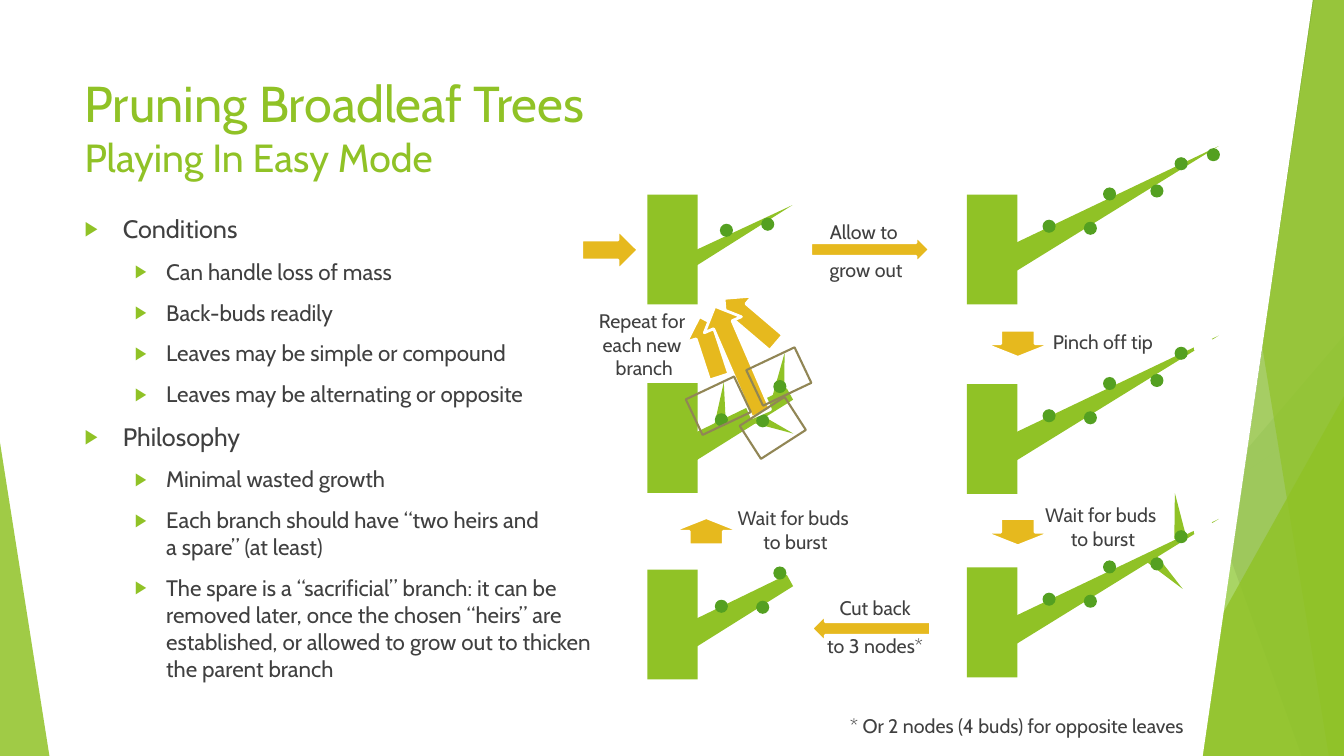
from copy import deepcopy

from lxml import etree
from pptx import Presentation
from pptx.dml.color import RGBColor
from pptx.enum.shapes import MSO_CONNECTOR, MSO_SHAPE
from pptx.enum.text import MSO_ANCHOR, PP_ALIGN
from pptx.oxml.ns import qn
from pptx.util import Inches, Pt

RECT, OVAL = MSO_SHAPE.RECTANGLE, MSO_SHAPE.OVAL
TRIANGLE, TRAPEZOID = MSO_SHAPE.ISOSCELES_TRIANGLE, MSO_SHAPE.TRAPEZOID
PARALLELOGRAM, ARROW = MSO_SHAPE.PARALLELOGRAM, MSO_SHAPE.RIGHT_ARROW
STRAIGHT = MSO_CONNECTOR.STRAIGHT
LEFT, CENTER = PP_ALIGN.LEFT, PP_ALIGN.CENTER
TOP, MIDDLE = MSO_ANCHOR.TOP, MSO_ANCHOR.MIDDLE

COLORS = {
    "green": "90C226", "bud": "54A021", "dark": "3F7819", "lime": "C0E474",
    "gold": "E6B91E", "frame": "918655", "text": "404040", "rule": "D9D9D9",
    "white": "FFFFFF",
}
FONT = "Cabin"
BULLET_INDENTS = [(0.38, -0.38), (0.81, -0.31)]

FACETS = [
    ([(12.28, 0), (13.33, 0), (13.33, 7.5), (10.04, 7.5)], "green", 30),
    ([(10.5, 0), (13.33, 0), (13.33, 7.5), (11.83, 7.5)], "green", 20),
    ([(13.33, 3.33), (13.33, 7.5), (9.77, 7.5)], "bud", 72),
    ([(10.21, 0), (13.33, 0), (13.33, 7.5), (12.91, 7.5)], "dark", 70),
    ([(13.03, 0), (13.33, 0), (13.33, 7.5), (11.92, 7.5)], "lime", 70),
    ([(11.96, 0), (13.33, 0), (13.33, 7.5), (13.18, 7.5)], "green", 65),
    ([(13.33, 3.93), (13.33, 7.5), (11.34, 7.5)], "green", 80),
    ([(0, 4.39), (0.49, 7.5), (0, 7.5)], "green", 85),
]

OUTLINE = [
    (0, "Conditions"),
    (1, "Can handle loss of mass"),
    (1, "Back-buds readily"),
    (1, "Leaves may be simple or compound"),
    (1, "Leaves may be alternating or opposite"),
    (0, "Philosophy"),
    (1, "Minimal wasted growth"),
    (1, "Each branch should have “two heirs and\na spare” (at least)"),
    (1, "The spare is a “sacrificial” branch: it can be \n"
        "removed later, once the chosen “heirs” are \n"
        "established, or allowed to grow out to thicken\nthe parent branch"),
]

LONG_LIMB = (TRIANGLE, 1.27, -1.13, 0.27, 2.49, 61.4)
YOUNG_LIMB = (TRIANGLE, 0.81, -0.22, 0.16, 1.25, 61.4)
CUT_LIMB = (TRAPEZOID, 0.76, -0.2, 0.26, 1.2, 61)
LONG_BUDS = [(0.75, 0.25), (1.16, 0.27), (1.35, -0.07), (1.82, -0.1),
             (2.06, -0.37), (2.38, -0.46)]
YOUNG_BUDS = [(0.72, 0.29), (1.13, 0.23)]
CUT_BUDS = [(0.67, 0.3), (1.08, 0.31), (1.25, -0.03)]
TIP_GAP = (2.25, -0.48)

TREES = [
    dict(x=9.59, y=1.93, limb=LONG_LIMB, buds=LONG_BUDS),
    dict(x=6.42, y=1.93, limb=YOUNG_LIMB, buds=YOUNG_BUDS),
    dict(x=6.42, y=5.65, limb=CUT_LIMB, buds=CUT_BUDS),
    dict(x=9.59, y=3.81, limb=LONG_LIMB, buds=LONG_BUDS[:-1], gap=TIP_GAP),
    dict(x=9.59, y=5.63, limb=LONG_LIMB, buds=LONG_BUDS[:-1], gap=TIP_GAP,
         sprouts=[(1.92, -0.17, 134.5), (2.03, -0.74, 353.1)]),
    dict(x=6.42, y=3.8, limb=CUT_LIMB, buds=CUT_BUDS,
         sprouts=[(0.68, -0.01, 4.9), (1.18, 0.19, 112.5), (1.27, -0.3, 8.1)]),
]

ARROWS = [
    (8.04, 2.34, 1.18, 0.27, 0), (8.05, 6.1, 1.18, 0.27, 180),
    (9.96, 3.07, 0.27, 0.68, 90), (9.96, 4.94, 0.27, 0.68, 90),
    (6.72, 3.24, 0.63, 0.4, 251.9), (6.87, 4.93, 0.27, 0.68, 270),
    (7.1, 2.98, 0.68, 0.4, 220.4), (6.74, 3.37, 1.16, 0.4, 246.6),
    (5.77, 2.28, 0.56, 0.4, 0),
]

LABELS = [
    (7.71, 1.98, 1.76, 1.01, ["Allow to ", "grow out"]),
    (10.06, 2.88, 1.76, 1.01, ["Pinch off tip"]),
    (10.06, 4.72, 1.76, 1.01, ["Wait for buds \nto burst"]),
    (7.8, 5.71, 1.76, 1.01, ["Cut back", "to 3 nodes*"]),
    (8.04, 6.91, 4.09, 0.58, ["* Or 2 nodes (4 buds) for opposite leaves"]),
    (7.01, 4.75, 1.76, 1.01, ["Wait for buds \nto burst"]),
    (5.51, 2.97, 1.76, 0.89, ["Repeat for \neach new \nbranch"]),
]

BRANCH_FRAMES = [(7.46, 3.54, 334.7), (6.86, 3.83, 334.7), (7.4, 4.05, 327.2)]


def rgb(name):
    """Return the named colour."""
    return RGBColor.from_string(COLORS[name])


def write(p, text, sizes=(14,), color="text", align=LEFT, before=0, level=None):
    """Fill a paragraph, one size per line with the last size repeating."""
    p.alignment = align
    p.space_before = Pt(before)
    if level is not None:
        p.level = level
        pPr = p._p.get_or_add_pPr()
        margin, indent = BULLET_INDENTS[level]
        pPr.set("marL", str(Inches(margin)))
        pPr.set("indent", str(Inches(indent)))
        clr = etree.SubElement(pPr, qn("a:buClr"))
        etree.SubElement(clr, qn("a:srgbClr"), val=COLORS["green"])
        etree.SubElement(pPr, qn("a:buSzPct"), val="80000")
        etree.SubElement(pPr, qn("a:buFont"), typeface="Arial")
        etree.SubElement(pPr, qn("a:buChar"), char="▶")
    for i, line in enumerate(text.split("\n")):
        if i:
            p.add_line_break()
            p._p.findall(qn("a:br"))[-1].append(deepcopy(r._r.rPr))
        r = p.add_run()
        r.text = line
        r.font.name = FONT
        r.font.size = Pt(sizes[min(i, len(sizes) - 1)])
        r.font.color.rgb = rgb(color)


class Deck:
    """Holds the style and the current slide."""

    def __init__(self):
        """Start a widescreen deck with one blank slide."""
        self.prs = Presentation()
        self.prs.slide_width, self.prs.slide_height = Inches(13.33), Inches(7.5)
        self.s = self.prs.slides.add_slide(self.prs.slide_layouts[6])

    def shape(self, kind, x, y, w, h, rot=0, fill=None, line=None, width=2, host=None):
        """Add a preset shape to the slide or to a group."""
        shapes = (host or self.s).shapes
        sp = shapes.add_shape(kind, Inches(x), Inches(y), Inches(w), Inches(h))
        sp.rotation = rot
        return self.paint(sp, fill, line, width)

    def paint(self, sp, fill, line=None, width=2):
        """Set fill and outline and drop the shadow."""
        sp.shadow.inherit = False
        if fill:
            sp.fill.solid()
            sp.fill.fore_color.rgb = rgb(fill)
        else:
            sp.fill.background()
        if line:
            sp.line.color.rgb = rgb(line)
            sp.line.width = Pt(width)
        else:
            sp.line.fill.background()
        return sp

    def facet(self, points, fill, alpha):
        """Add a translucent polygon."""
        start, *rest = [(Inches(x), Inches(y)) for x, y in points]
        fb = self.s.shapes.build_freeform(*start)
        fb.add_line_segments(rest)
        sp = self.paint(fb.convert_to_shape(), fill)
        clr = sp._element.spPr.find(qn("a:solidFill")).find(qn("a:srgbClr"))
        etree.SubElement(clr, qn("a:alpha"), val=str(alpha * 1000))

    def rule(self, x1, y1, x2, y2):
        """Add a thin straight line."""
        cn = self.s.shapes.add_connector(STRAIGHT, Inches(x1), Inches(y1), Inches(x2), Inches(y2))
        cn.line.color.rgb = rgb("rule")
        cn.line.width = Pt(0.75)
        etree.SubElement(cn._element.spPr, qn("a:effectLst"))

    def text(self, x, y, w, h, anchor=TOP):
        """Add an empty wrapped text box and return its frame."""
        tf = self.s.shapes.add_textbox(Inches(x), Inches(y), Inches(w), Inches(h)).text_frame
        tf.word_wrap = True
        tf.vertical_anchor = anchor
        return tf

    def tree(self, x, y, limb, buds, gap=None, sprouts=()):
        """Add a grouped trunk with its limb, sprouts and buds."""
        g = self.s.shapes.add_group_shape()
        kind, dx, dy, w, h, rot = limb
        self.shape(kind, x + dx, y + dy, w, h, rot, "green", host=g)
        self.shape(RECT, x, y, 0.5, 1.09, fill="green", host=g)
        for dx, dy, rot in sprouts:
            self.shape(TRIANGLE, x + dx, y + dy, 0.12, 0.45, rot, "green", host=g)
        if gap:
            self.shape(OVAL, x + gap[0], y + gap[1], 0.21, 0.22, fill="white", host=g)
        for dx, dy in buds:
            self.shape(OVAL, x + dx, y + dy, 0.13, 0.13, fill="bud", host=g)


def main():
    """Build and save the slide."""
    d = Deck()
    d.rule(13.33, 4.03, 8.12, 7.5)
    for facet in FACETS:
        d.facet(*facet)
    panel = d.shape(PARALLELOGRAM, 7.47, 0, 5.54, 7.5, fill="white", line="white", width=1.5)
    panel.adjustments[0] = 0.197

    tf = d.text(0.74, 0.67, 11.05, 1.26)
    write(tf.paragraphs[0], "Pruning Broadleaf Trees\nPlaying In Easy Mode", (36, 28), "green")
    tf = d.text(0.74, 2.07, 11.05, 5.04)
    for i, (level, item) in enumerate(OUTLINE):
        p = tf.add_paragraph() if i else tf.paragraphs[0]
        write(p, item, (16 if level else 18,), before=10 if i else 0, level=level)

    for tree in TREES:
        d.tree(**tree)
    for arrow in ARROWS:
        d.shape(ARROW, *arrow, fill="gold", line="white")
    for *box, lines in LABELS:
        tf = d.text(*box, anchor=MIDDLE)
        for i, line in enumerate(lines):
            p = tf.add_paragraph() if i else tf.paragraphs[0]
            write(p, line, align=CENTER, before=10 if i else 0)
    for x, y, rot in BRANCH_FRAMES:
        d.shape(RECT, x, y, 0.53, 0.39, rot, line="frame", width=1.5)
    d.prs.save("out.pptx")


if __name__ == "__main__":
    main()
